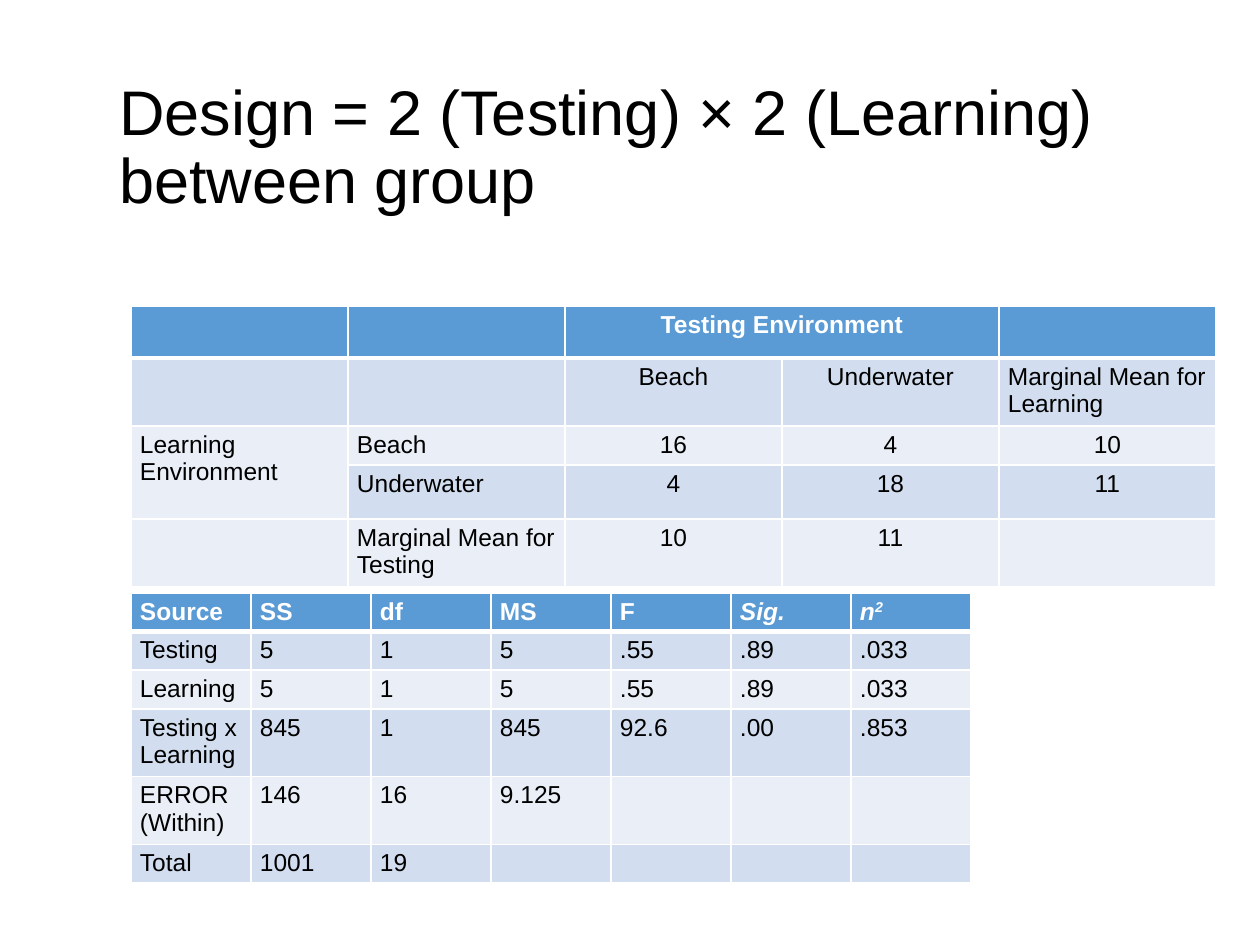
from lxml import etree
from pptx import Presentation
from pptx.dml.color import RGBColor
from pptx.enum.text import MSO_ANCHOR, PP_ALIGN
from pptx.oxml.ns import qn
from pptx.util import Emu, Pt

LEFT, CENTER = PP_ALIGN.LEFT, PP_ALIGN.CENTER
MIDDLE = MSO_ANCHOR.MIDDLE
SCALE = 914400 / 126
FONT = "Arial"
WHITE, BLACK, HEADER = "FFFFFF", "000000", "5B9BD5"
BANDS = ["EAEFF7", "D2DEEF"]
CELL_MARGINS = {"margin_left": 9, "margin_right": 9, "margin_top": 5, "margin_bottom": 4}

DESIGN_ROWS = [
    ["", "", "Testing Environment", "", ""],
    ["", "", "Beach", "Underwater", "Marginal Mean for Learning"],
    ["Learning\nEnvironment", "Beach", "16", "4", "10"],
    ["", "Underwater", "4", "18", "11"],
    ["", "Marginal Mean for Testing", "10", "11", ""],
]
ANOVA_ROWS = [
    ["Source", "SS", "df", "MS", "F", "Sig.", "n"],
    ["Testing", "5", "1", "5", ".55", ".89", ".033"],
    ["Learning", "5", "1", "5", ".55", ".89", ".033"],
    ["Testing x Learning", "845", "1", "845", "92.6", ".00", ".853"],
    ["ERROR (Within)", "146", "16", "9.125", "", "", ""],
    ["Total", "1001", "19", "", "", "", ""],
]


def px(length):
    return Emu(round(length * SCALE))


def color(code):
    return RGBColor.from_string(code)


def style_span(span, code, **values):
    span.font.color.rgb = color(code)
    for name, value in {"name": FONT, **values}.items():
        setattr(span.font, name, value)


def add_title(page, text):
    box = page.shapes.add_textbox(px(107), px(67), px(1086), px(165))
    box.text_frame.word_wrap = True
    box.text_frame.vertical_anchor = MIDDLE
    para = box.text_frame.paragraphs[0]
    para.line_spacing = 0.9
    span = para.add_run()
    span.text = text
    style_span(span, BLACK, size=Pt(36))


def set_borders(cell, widths):
    properties = cell._tc.get_or_add_tcPr()
    for side, width in widths.items():
        line = etree.SubElement(properties, qn(f"a:ln{side}"), w=str(Pt(width)))
        fill = etree.SubElement(line, qn("a:solidFill"))
        etree.SubElement(fill, qn("a:srgbClr"), val=WHITE)


def fill_cell(cell, text, row, align):
    for name, value in CELL_MARGINS.items():
        setattr(cell, name, px(value))
    set_borders(cell, {"L": 1, "R": 1, "T": 3 if row == 1 else 1, "B": 1 if row else 3})
    cell.fill.solid()
    cell.fill.fore_color.rgb = color(BANDS[row % 2] if row else HEADER)
    cell.text = text
    for para in cell.text_frame.paragraphs:
        para.alignment = align
        for span in para.runs:
            style_span(span, BLACK if row else WHITE, size=Pt(14), bold=row == 0)
        if not para.runs:
            etree.SubElement(para._p, qn("a:endParaRPr"), sz="1400")


def add_grid(page, top, column_width, heights, rows, align_for):
    columns = len(rows[0])
    frame = page.shapes.add_table(
        len(rows), columns, px(131), px(top), px(column_width * columns), px(sum(heights))
    )
    table = frame.table
    for column in table.columns:
        column.width = px(column_width)
    for row, (height, texts) in enumerate(zip(heights, rows)):
        table.rows[row].height = px(height)
        for column, text in enumerate(texts):
            fill_cell(table.cell(row, column), text, row, align_for(row, column))
    return table


def design_alignment(row, column):
    return CENTER if column > 1 and (row, column) != (1, 4) else LEFT


def add_design_table(page):
    table = add_grid(page, 306, 217, [52, 64, 39, 54, 64], DESIGN_ROWS, design_alignment)
    table.cell(0, 2).merge(table.cell(0, 3))
    table.cell(2, 0).merge(table.cell(3, 0))


def add_anova_table(page):
    table = add_grid(page, 593, 120, [38, 38, 39, 64, 65, 38], ANOVA_ROWS, lambda row, column: LEFT)
    effect_size = table.cell(0, 6).text_frame.paragraphs[0]
    exponent = effect_size.add_run()
    exponent.text = "2"
    style_span(exponent, WHITE, size=Pt(14), bold=True)
    exponent._r.get_or_add_rPr().set("baseline", "30000")
    for column in (5, 6):
        for span in table.cell(0, column).text_frame.paragraphs[0].runs:
            span.font.italic = True


def main():
    deck = Presentation()
    deck.slide_width, deck.slide_height = px(1260), px(945)
    page = deck.slides.add_slide(deck.slide_layouts[6])
    add_title(page, "Design = 2 (Testing) × 2 (Learning) between group")
    add_design_table(page)
    add_anova_table(page)
    deck.save("out.pptx")


if __name__ == "__main__":
    main()
